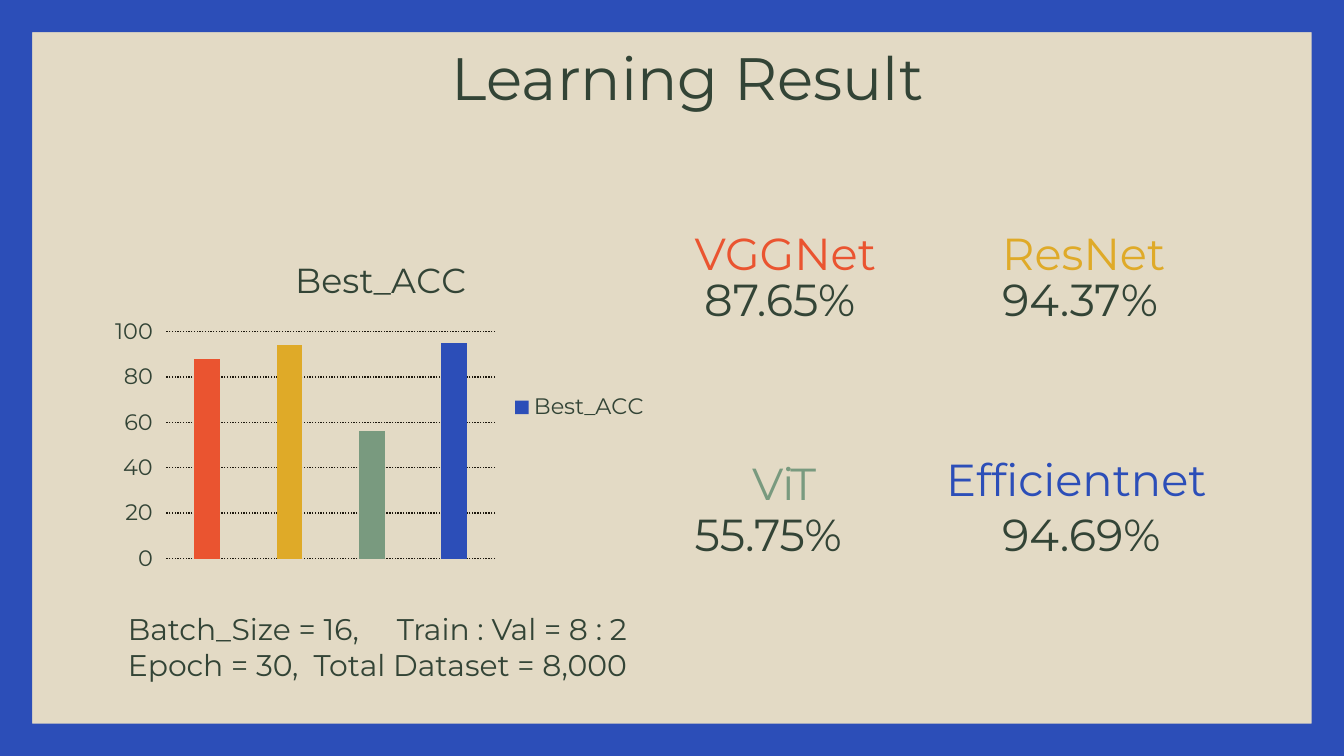
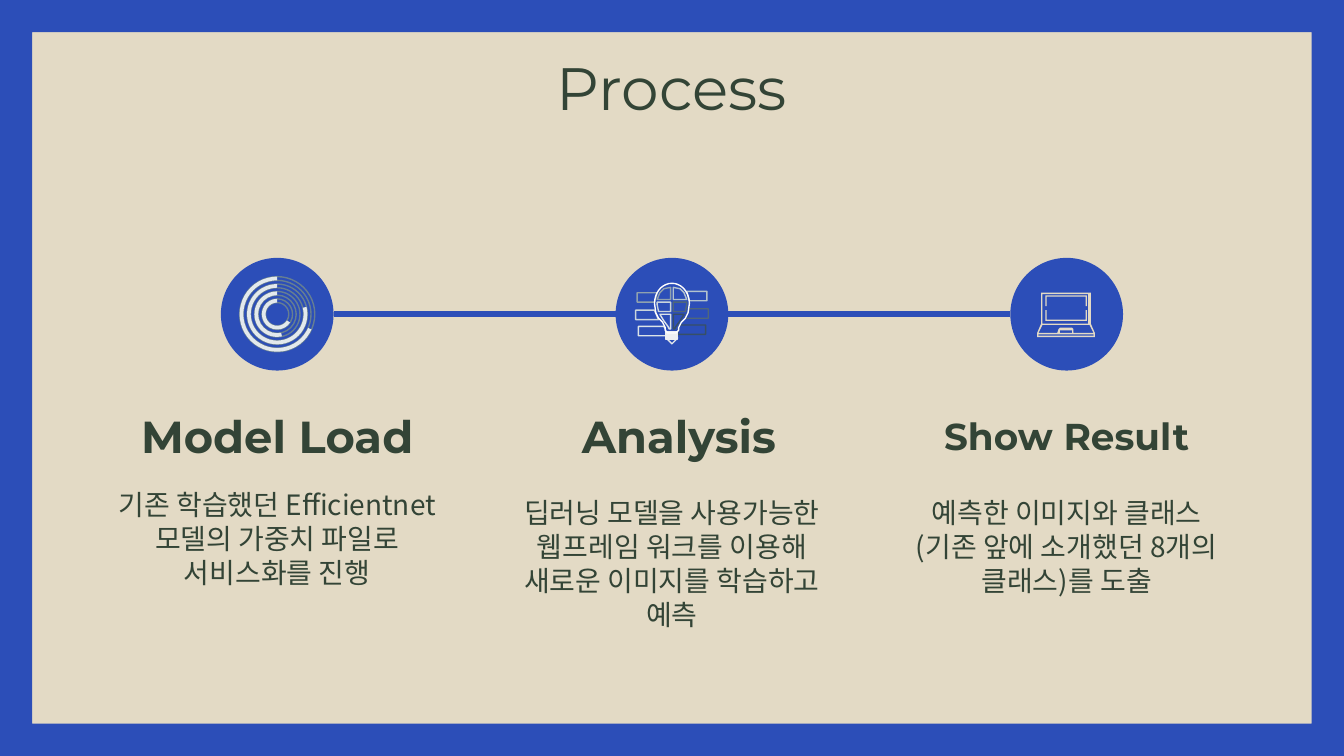
import math
from lxml import etree
from pptx import Presentation
from pptx.chart.data import CategoryChartData
from pptx.dml.color import RGBColor
from pptx.enum.chart import XL_CHART_TYPE, XL_LEGEND_POSITION, XL_TICK_MARK
from pptx.enum.dml import MSO_LINE
from pptx.enum.shapes import MSO_CONNECTOR, MSO_SHAPE
from pptx.enum.text import MSO_ANCHOR, MSO_AUTO_SIZE, PP_ALIGN
from pptx.oxml import parse_xml
from pptx.oxml.ns import nsdecls, qn
from pptx.util import Cm, Pt

COLUMNS = XL_CHART_TYPE.COLUMN_CLUSTERED
LEGEND_RIGHT = XL_LEGEND_POSITION.RIGHT
TICK_OUT = XL_TICK_MARK.OUTSIDE
SMALL_DOTS = MSO_LINE.ROUND_DOT
STRAIGHT = MSO_CONNECTOR.STRAIGHT
FRAME, OVAL = MSO_SHAPE.FRAME, MSO_SHAPE.OVAL
DONUT, BLOCK_ARC = MSO_SHAPE.DONUT, MSO_SHAPE.BLOCK_ARC
TOP, MIDDLE = MSO_ANCHOR.TOP, MSO_ANCHOR.MIDDLE
LEFT, CENTER = PP_ALIGN.LEFT, PP_ALIGN.CENTER
NO_FIT = MSO_AUTO_SIZE.NONE

SAND = RGBColor(0xE3, 0xDA, 0xC5)
BLUE = RGBColor(0x2C, 0x4E, 0xB8)
FOREST = RGBColor(0x33, 0x44, 0x36)
RED = RGBColor(0xEA, 0x54, 0x30)
GOLD = RGBColor(0xDF, 0xAA, 0x28)
SAGE = RGBColor(0x79, 0x9A, 0x7F)
GRID = RGBColor(0x1D, 0x18, 0x0E)
RING = RGBColor(0x66, 0x7E, 0x92)
ARC = RGBColor(0xE3, 0xE9, 0xED)
GLASS = RGBColor(0xFE, 0xFE, 0xFE)
SOCKET = RGBColor(0xE3, 0xE7, 0xEA)
THREAD = RGBColor(0xEE, 0xF0, 0xF2)
PANE_COLORS = [
    (RGBColor(0x8F, 0xA1, 0xAF), RGBColor(0xB3, 0xC3, 0xCE)),
    (RGBColor(0xC9, 0xD4, 0xDC), RGBColor(0x4F, 0x67, 0x7B)),
    (RGBColor(0xDB, 0xE3, 0xE8), RGBColor(0x37, 0x4F, 0x66)),
]

LATIN, KOREAN = "Montserrat", "Noto Sans CJK KR"
WIDTH, HEIGHT = 25.4, 14.29
BORDER = 0.61
INSET = 0.25
STEP_PITCH, STEP_WIDTH = 7.46, 6.5
CIRCLE_SIZE, CIRCLE_Y = 2.13, 5.94
ICON_UNIT = Cm(2.54) / 100

RESULTS = [
    ("VGGNet", 87.65, RED, (12.88, 4.01, LEFT), (13.06, 4.88)),
    ("ResNet", 94.37, GOLD, (18.69, 4.01, LEFT), (18.69, 4.88)),
    ("ViT", 55.75, SAGE, (12.72, 8.36, CENTER), (12.88, 9.32)),
    ("Efficientnet", 94.69, BLUE, (17.63, 8.28, LEFT), (18.69, 9.32)),
]
STEPS = [
    ("Model Load", 24, 0, 8.97,
     "기존 학습했던 Efficientnet 모델의 가중치 파일로 서비스화를 진행"),
    ("Analysis", 24, 0.13, 9.12,
     "딥러닝 모델을 사용가능한 웹프레임 워크를 이용해 새로운 이미지를 학습하고 예측"),
    ("Show Result", 20, 0, 9.12,
     "예측한 이미지와 클래스(기존 앞에 소개했던 8개의 클래스)를 도출"),
]

LAPTOP_BODY = [
    [(-19, -16), (18, -16), (18, 7), (21, 14), (21, 17), (-22, 17), (-22, 14), (-19, 7)],
    [(16, -15), (16, 7), (-18, 7), (-18, -15)],
    [(17, 8), (20, 14), (5, 14), (5, 11), (4, 10), (-5, 10), (-6, 11), (-7, 14),
     (-21, 14), (-18, 8)],
    [(4, 12), (4, 14), (-5, 14), (-5, 12)],
    [(20, 15), (20, 16), (-21, 16), (-21, 15)],
]
LAPTOP_BRACKET = [(-16, -3), (-16, 5), (15, 5), (15, -3), (14, -3), (14, 4),
                  (-15, 4), (-15, -3)]
BULB_PANES = [
    [(1, -11), (11, -11), (9, -16), (6, -19), (1, -20)],
    [(1, -2), (10, -2), (11, -7), (11, -9), (1, -9)],
    [(1, 0), (9, 0), (6, 5), (3, 9), (2, 11), (1, 11)],
]
BULB_BRICKS = [
    [(11, -17), (13, -10), (26, -10), (26, -17)],
    [(13, -4), (10, 3), (27, 3), (27, -4)],
    [(6, 8), (5, 10), (4, 15), (25, 15), (25, 8)],
]
BULB_NECK = [(12, -1), (10, 3), (7, 6), (5, 10), (5, 12), (3, 14), (0, 14)]


def write_text(frame, text, size=24, color=FOREST, font=LATIN, bold=False, align=LEFT,
               anchor=TOP, inset=INSET, tabs=(), spacing=None):
    frame.auto_size = NO_FIT
    frame.word_wrap = True
    frame.vertical_anchor = anchor
    frame.margin_left = frame.margin_right = Cm(INSET)
    frame.margin_top = frame.margin_bottom = Cm(inset)
    for index, line in enumerate(text.split("\n")):
        para = frame.paragraphs[0] if index == 0 else frame.add_paragraph()
        para.alignment = align
        if spacing:
            para.line_spacing = Pt(spacing)
        if tabs:
            stops = etree.SubElement(para._p.get_or_add_pPr(), qn("a:tabLst"))
            etree.SubElement(stops, qn("a:tab"), pos=str(Cm(tabs[index])), algn="l")
        span = para.add_run()
        span.text = line
        set_font(span.font, size, color, font, bold)
        etree.SubElement(span._r.get_or_add_rPr(), qn("a:ea"), typeface=font)


def set_font(target, size, color=FOREST, font=LATIN, bold=False):
    target.size = Pt(size)
    target.color.rgb = color
    target.name = font
    target.bold = bold


def place(item, left, top, width, height):
    item.left, item.top, item.width, item.height = map(Cm, (left, top, width, height))


def add_text(page, text, left, top, width, height, **style):
    box = page.shapes.add_textbox(*map(Cm, (left, top, width, height)))
    write_text(box.text_frame, text, **style)


def add_page(deck, title, left, top, width, height, anchor):
    page = deck.slides.add_slide(deck.slide_layouts[5])
    place(page.shapes.title, left, top, width, height)
    write_text(page.shapes.title.text_frame, title, size=32, align=CENTER, anchor=anchor)
    return page


def paint(shape, fill=None, line=None):
    shape.shadow.inherit = False
    if fill is None:
        shape.fill.background()
    else:
        shape.fill.solid()
        shape.fill.fore_color.rgb = fill
    if line is None:
        shape.line.fill.background()
    else:
        shape.line.color.rgb = line
        shape.line.width = Pt(0.75)


def add_centered(page, kind, x, y, size, **colors):
    corner = Cm(x - size / 2), Cm(y - size / 2)
    shape = page.shapes.add_shape(kind, *corner, Cm(size), Cm(size))
    paint(shape, **colors)
    return shape


def add_outline(page, x, y, contours, **colors):
    fine = [[(10 * px, 10 * py) for px, py in contour] for contour in contours]
    builder = page.shapes.build_freeform(*fine[0][0], scale=ICON_UNIT / 10)
    for index, contour in enumerate(fine):
        if index:
            builder.move_to(*contour[0])
        builder.add_line_segments(contour[1:], close=True)
    paint(builder.convert_to_shape(Cm(x), Cm(y)), **colors)


def add_link(page, start, end, y):
    link = page.shapes.add_connector(STRAIGHT, Cm(start), Cm(y), Cm(end), Cm(y))
    link.line.color.rgb = BLUE
    link.line.width = Pt(3)
    etree.SubElement(link._element.spPr, qn("a:effectLst"))


def set_master(deck, page):
    master = deck.slide_master
    master.background.fill.solid()
    master.background.fill.fore_color.rgb = SAND
    border = page.shapes.add_shape(FRAME, 0, 0, Cm(WIDTH), Cm(HEIGHT))
    border.adjustments[0] = BORDER / HEIGHT
    paint(border, fill=BLUE)
    master.shapes.element.append(border._element)


def set_layout(parent, following, **values):
    parts = "".join(f'<c:{key} val="{value}"/>' for key, value in values.items())
    old = parent.find(qn("c:layout"))
    if old is not None:
        parent.remove(old)
    layout = parse_xml(f'<c:layout {nsdecls("c")}><c:manualLayout>{parts}'
                       '</c:manualLayout></c:layout>')
    following.addprevious(layout)


def add_accuracy_chart(page):
    data = CategoryChartData()
    data.categories = [str(number + 1) for number in range(len(RESULTS))]
    data.add_series("Best_ACC", [round(result[1]) for result in RESULTS])
    holder = page.shapes.add_chart(COLUMNS, *map(Cm, (1.98, 4.45, 10.54, 6.5)), data)
    chart = holder.chart
    set_font(chart.font, 12)
    chart.has_title = True
    heading = chart.chart_title.text_frame
    heading.text = "Best_ACC"
    set_font(heading.paragraphs[0].runs[0].font, 18.6)
    chart.has_legend = True
    chart.legend.position = LEGEND_RIGHT
    chart.legend.include_in_layout = False
    set_font(chart.legend.font, 12)

    chart.category_axis.visible = False
    axis = chart.value_axis
    axis.minimum_scale, axis.maximum_scale, axis.major_unit = 0, 100, 20
    axis.major_tick_mark = TICK_OUT
    axis.format.line.fill.background()
    set_font(axis.tick_labels.font, 12)
    grid = axis.major_gridlines.format.line
    grid.color.rgb = GRID
    grid.width = Pt(0.75)
    grid.dash_style = SMALL_DOTS

    plot = chart.plots[0]
    plot.vary_by_categories = False
    plot.gap_width, plot.overlap = 219, -27
    series = plot.series[0]
    series.format.fill.solid()
    series.format.fill.fore_color.rgb = BLUE
    for index, result in enumerate(RESULTS):
        fill = series.points[index].format.fill
        fill.solid()
        fill.fore_color.rgb = result[2]

    title = chart.chart_title._element
    set_layout(title, title.find(qn("c:overlay")), xMode="edge", yMode="edge", x=0.33, y=0.04)
    area = plot._element.getparent()
    set_layout(area, plot._element, layoutTarget="inner", xMode="edge", yMode="edge",
               x=0.11, y=0.28, w=0.59, h=0.66)


def add_result(page, name, accuracy, color, name_at, value_at):
    left, top, align = name_at
    width = 6.05 if len(name) > 8 else 4.2
    add_text(page, name, left, top, width, 0.97, color=color, align=align)
    add_text(page, f"{accuracy}%", *value_at, 4.2, 0.97)


def add_rings_icon(page, x, y):
    for index, start in enumerate((24, 346, 78, 33)):
        size = 1.42 - 0.28 * index
        ring = add_centered(page, DONUT, x, y, size, line=RING)
        ring.adjustments[0] = 0.07 / size
        arc = add_centered(page, BLOCK_ARC, x, y, size, fill=ARC)
        for handle, value in enumerate((start * 0.6, 270 * 0.6, 0.07 / size)):
            arc.adjustments[handle] = value


def mirror(points, drop=0):
    return [(-px, py + drop) for px, py in points]


def rectangle(left, top, right, bottom):
    return [(left, top), (right, top), (right, bottom), (left, bottom)]


def add_bulb_icon(page, x, y):
    for pane, brick, (left, right) in zip(BULB_PANES, BULB_BRICKS, PANE_COLORS):
        add_outline(page, x, y, [brick], line=right)
        add_outline(page, x, y, [mirror(brick, 1)], line=left)
        add_outline(page, x, y, [pane], line=right)
        add_outline(page, x, y, [mirror(pane)], line=left)
    tip = [(-4, 17), (4, 17), (4, 18), (0, 22), (-4, 18)]
    for part in (tip, rectangle(-4, 13, 4, 18)):
        add_outline(page, x, y, [part], line=SOCKET)
    for top in (13, 14.5, 16, 17.5):
        add_outline(page, x, y, [rectangle(-5, top, 4, top + 1)], line=THREAD)
    angles = [math.radians(degree) for degree in range(180, 361, 10)]
    dome = [(13 * math.cos(angle), 15 * math.sin(angle) - 8) for angle in angles]
    glass = dome + BULB_NECK + mirror(BULB_NECK[-2::-1])
    add_outline(page, x, y, [glass], line=GLASS)


def add_laptop_icon(page, x, y):
    upper = [(px, -9 - py) for px, py in LAPTOP_BRACKET]
    for contours in (LAPTOP_BODY, [LAPTOP_BRACKET], [upper]):
        add_outline(page, x, y, contours, fill=SAND)


def add_step(page, center, name, size, shift, top, text):
    left = center - STEP_WIDTH / 2
    add_text(page, name, left + shift, 7.49, STEP_WIDTH, 1.47, size=size, bold=True,
             align=CENTER, anchor=MIDDLE)
    add_text(page, text, left, top, STEP_WIDTH, 3.02, size=15, font=KOREAN,
             align=CENTER, spacing=18.1)
    add_centered(page, OVAL, center, CIRCLE_Y, CIRCLE_SIZE, fill=BLUE)


def main():
    deck = Presentation()
    deck.slide_width, deck.slide_height = Cm(WIDTH), Cm(HEIGHT)

    page = add_page(deck, "Learning Result", 0.6, 0.58, 24.8, 1.75, MIDDLE)
    set_master(deck, page)
    add_accuracy_chart(page)
    for result in RESULTS:
        add_result(page, *result)
    add_text(page, "Batch_Size = 16,\tTrain : Val = 8 : 2\nEpoch = 30,\tTotal Dataset = 8,000",
             2.17, 11.41, 11.28, 1.63, size=16, inset=0.13, tabs=(5.08, 3.51))

    page = add_page(deck, "Process", 2, 0.71, 21.4, 1.6, TOP)
    centers = [WIDTH / 2 + STEP_PITCH * offset for offset in (-1, 0, 1)]
    for center, step in zip(centers, STEPS):
        add_step(page, center, *step)
    for start, end in zip(centers, centers[1:]):
        add_link(page, start + CIRCLE_SIZE / 2, end - CIRCLE_SIZE / 2, CIRCLE_Y)
    for center, add_icon in zip(centers, (add_rings_icon, add_bulb_icon, add_laptop_icon)):
        add_icon(page, center, CIRCLE_Y)

    deck.save("out.pptx")


if __name__ == "__main__":
    main()
